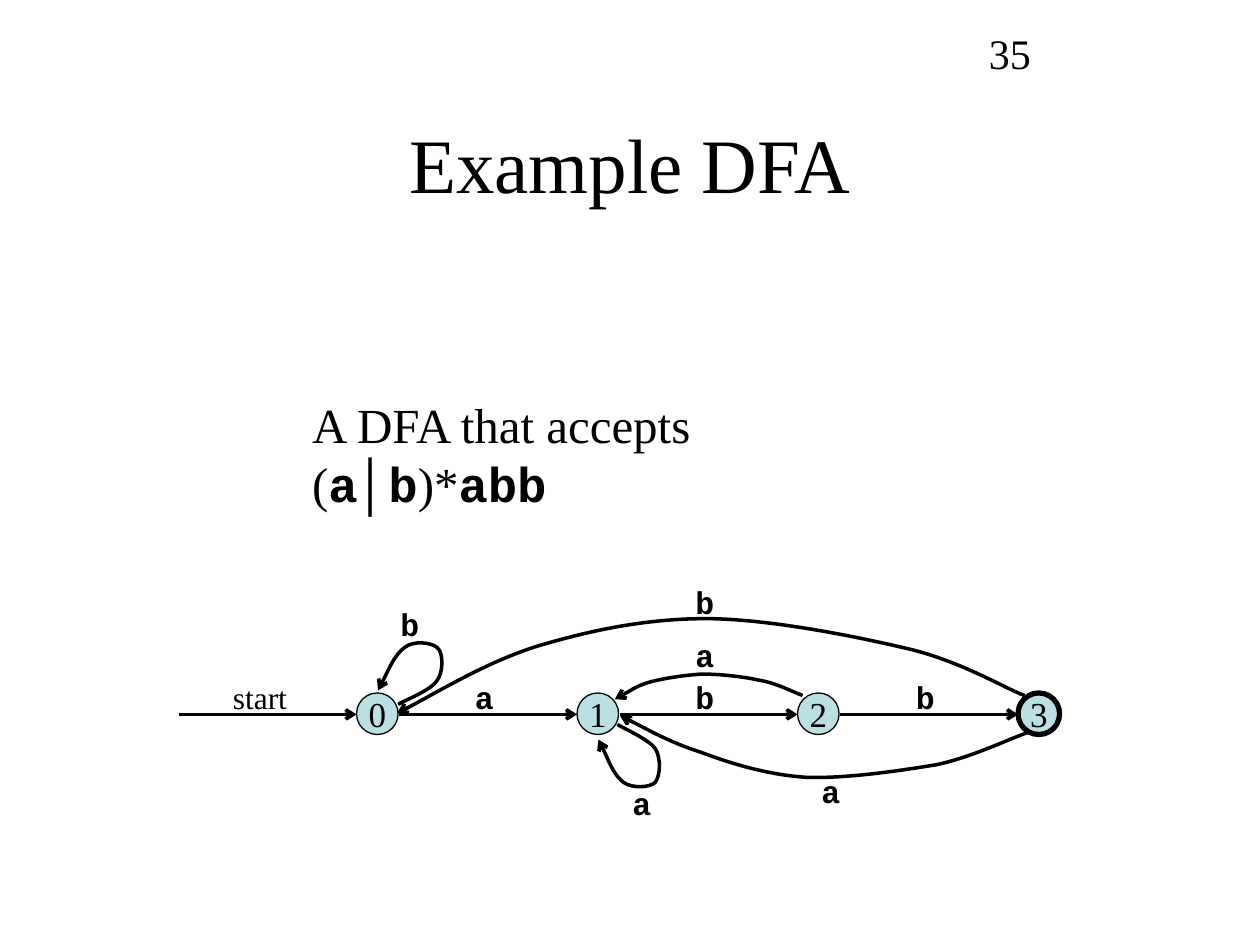
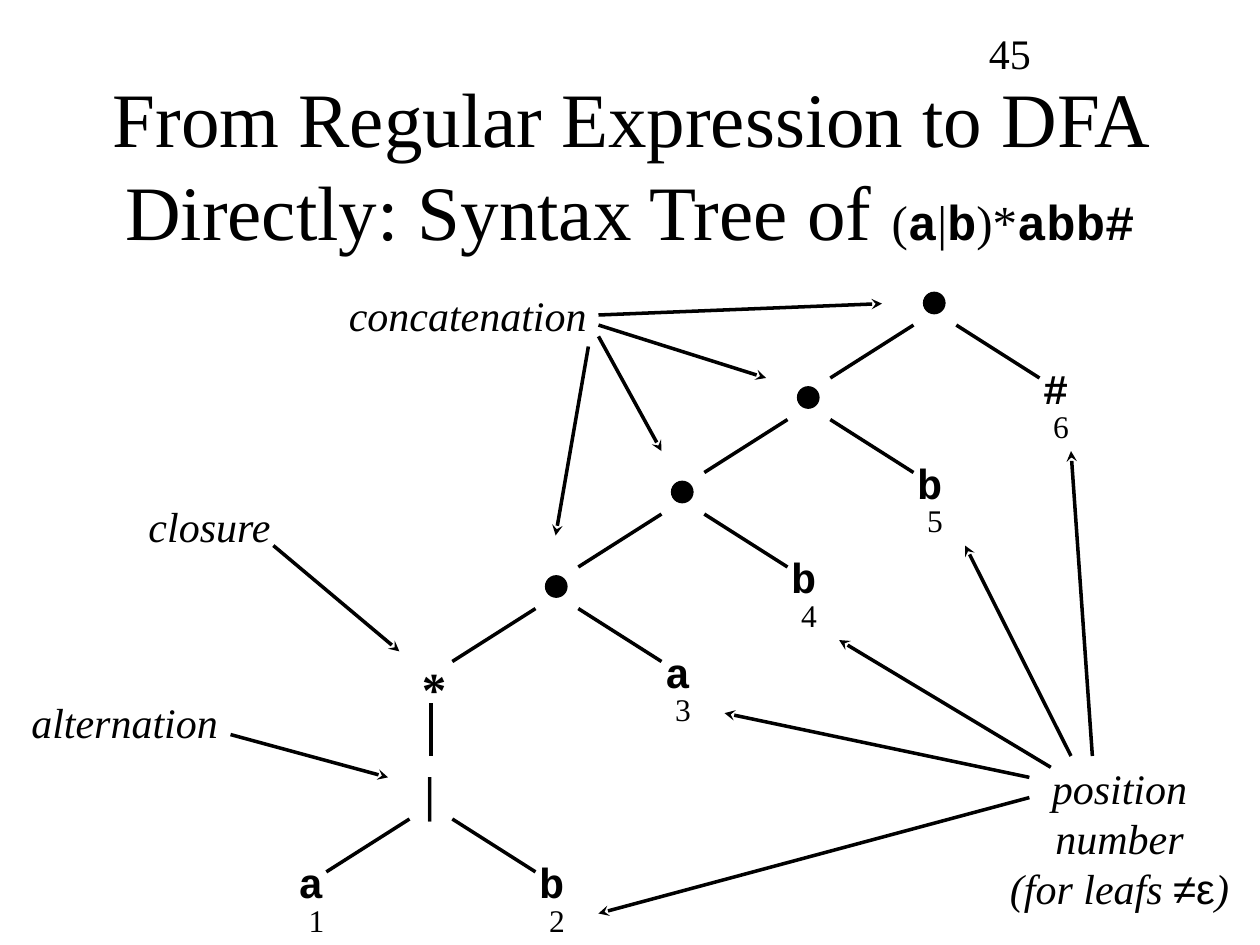
from pptx import Presentation
from pptx.dml.color import RGBColor
from pptx.enum.shapes import MSO_CONNECTOR as Conn, MSO_SHAPE as Shape
from pptx.enum.text import MSO_ANCHOR as Anchor, MSO_AUTO_SIZE as Fit, PP_ALIGN as Align
from pptx.oxml.ns import qn
from pptx.oxml.xmlchemy import OxmlElement as Elem
from pptx.util import Inches, Pt

BLACK = RGBColor(0x00, 0x00, 0x00)
AQUA = RGBColor(0xBB, 0xE0, 0xE3)

# Each text style: font, bold, italic
ROMAN = ("Times New Roman", False, False)
HEAVY = ("Times New Roman", True, False)
SLANT = ("Times New Roman", False, True)
CODE = ("Courier New", True, False)
SANS = ("Arial", False, False)

STEP = 1.75   # distance between states
DROP = 0.75   # height of one tree level

# Bent edges: a start point, then three points for each curve piece
CURVES = [
    # state 0 to itself
    [(3.16, 5.59), (3.21, 5.56), (3.42, 5.48), (3.47, 5.4),
     (3.52, 5.33), (3.52, 5.18), (3.47, 5.14),
     (3.43, 5.1), (3.28, 5.08), (3.21, 5.14),
     (3.13, 5.2), (3.04, 5.41), (3, 5.48)],
    # state 3 to 0
    [(8.13, 5.52), (7.97, 5.46), (7.63, 5.25), (7.21, 5.15),
     (6.79, 5.05), (6.09, 4.91), (5.6, 4.91),
     (5.11, 4.91), (4.66, 5.01), (4.26, 5.13),
     (3.85, 5.26), (3.38, 5.55), (3.15, 5.66)],
    # state 1 to itself
    [(4.9, 5.75), (4.95, 5.78), (5.15, 5.87), (5.2, 5.94),
     (5.25, 6.02), (5.24, 6.16), (5.2, 6.21),
     (5.16, 6.25), (5.02, 6.26), (4.95, 6.21),
     (4.87, 6.15), (4.79, 5.94), (4.75, 5.87)],
    # state 2 to 1
    [(6.37, 5.52), (6.31, 5.5), (6.16, 5.42), (6.03, 5.4),
     (5.9, 5.37), (5.71, 5.35), (5.57, 5.35),
     (5.43, 5.36), (5.29, 5.38), (5.17, 5.41),
     (5.06, 5.44), (4.94, 5.52), (4.88, 5.55)],
    # state 3 to 1
    [(8.17, 5.81), (8.04, 5.85), (7.72, 6.01), (7.43, 6.07),
     (7.13, 6.12), (6.71, 6.18), (6.4, 6.17),
     (6.09, 6.15), (5.8, 6.06), (5.56, 5.97),
     (5.31, 5.89), (5.05, 5.74), (4.92, 5.68)],
]

# Letters on the bent edges
MARKS = [("b", 3.08, 4.75), ("b", 5.42, 4.58), ("a", 4.92, 6.17),
         ("a", 5.42, 5), ("a", 6.42, 6.08)]

# Arrows from the notes to the tree
HINTS = [
    (4.75, 2.5, 7, 2.41), (4.75, 2.58, 6.08, 3),
    (4.75, 2.67, 5.25, 3.58), (4.67, 2.75, 4.41, 4.25),
    (2.17, 4.33, 3.17, 5.17), (1.83, 5.83, 3.08, 6.17),
    (8.67, 6, 8.5, 3.58), (8.5, 6, 7.66, 4.33), (8.34, 6.09, 6.66, 5.08),
    (8.17, 6.17, 5.75, 5.66), (8.17, 6.33, 4.75, 7.25),
]


def box(x, y, w, h):
    return Inches(x), Inches(y), Inches(w), Inches(h)


# Text
def write(para, runs, size, align=Align.LEFT):
    para.alignment = align
    for text, style in runs:
        if text == "\n":
            para.add_line_break()
            continue
        run = para.add_run()
        run.text = text
        font = run.font
        font.name, font.bold, font.italic = style
        font.size = Pt(size)
        font.color.rgb = BLACK


def label(slide, x, y, w, h, runs, size, wrap=False, align=Align.LEFT):
    frame = slide.shapes.add_textbox(*box(x, y, w, h)).text_frame
    frame.word_wrap = wrap
    write(frame.paragraphs[0], runs, size, align)
    return frame


def page(deck, runs, number):
    slide = deck.slides.add_slide(deck.slide_layouts[5])
    title = slide.shapes.title
    title.left, title.top, title.width, title.height = box(0.75, 0.67, 8.5, 1.25)
    frame = title.text_frame
    frame.auto_size = Fit.NONE
    frame.word_wrap = True
    frame.vertical_anchor = Anchor.MIDDLE
    for text, style, size in runs:
        write(frame.paragraphs[0], [(text, style)], size, Align.CENTER)
    label(slide, 7.75, 0.17, 2.08, 0.5, [(number, ROMAN)], 24, True)
    return slide


# Lines
def ink(shape, head=None):
    shape.line.color.rgb = BLACK
    shape.line.width = Pt(2)
    if head:
        tail = Elem("a:tailEnd")
        tail.set("type", head)
        shape.element.find(".//" + qn("a:ln")).append(tail)


def line(slide, x1, y1, x2, y2, head=None):
    link = slide.shapes.add_connector(
        Conn.STRAIGHT, Inches(x1), Inches(y1), Inches(x2), Inches(y2))
    ink(link, head)
    link.element.spPr.append(Elem("a:effectLst"))


def curve(slide, points):
    spots = [(Inches(x), Inches(y)) for x, y in points]
    pen = slide.shapes.build_freeform(*spots[0])
    pen.add_line_segments(spots[1:], close=False)
    shape = pen.convert_to_shape()
    shape.shadow.inherit = False
    shape.fill.background()
    ink(shape, "arrow")
    # Every three straight segments become one Bezier piece
    track = shape.element.find(".//" + qn("a:path"))
    parts = track.findall(qn("a:lnTo"))
    for i in range(0, len(parts), 3):
        bend = Elem("a:cubicBezTo")
        for part in parts[i:i + 3]:
            bend.append(part[0])
            track.remove(part)
        track.append(bend)


# Nodes
def disc(slide, x, y, size, fill, width=0.75):
    dot = slide.shapes.add_shape(Shape.OVAL, *box(x, y, size, size))
    dot.shadow.inherit = False
    dot.fill.solid()
    dot.fill.fore_color.rgb = fill
    dot.line.color.rgb = BLACK
    dot.line.width = Pt(width)
    return dot


def state(slide, i, last):
    dot = disc(slide, 2.83 + STEP * i, 5.5, 0.33, AQUA, 3 if last else 0.75)
    frame = dot.text_frame
    frame.word_wrap = False
    frame.vertical_anchor = Anchor.MIDDLE
    write(frame.paragraphs[0], [(str(i), ROMAN)], 20, Align.CENTER)


def mark(slide, text, x, y):
    label(slide, x, y, 0.35, 0.4, [(text, CODE)], 18)


def leaf(slide, text, number, x, y):
    label(slide, x, y, 0.33, 0.5, [(text, CODE)], 24, True)
    label(slide, x + 0.08, y + 0.35, 0.32, 0.4, [(number, ROMAN)], 18)


def fork(slide, x, y):
    for side in (-1, 1):
        line(slide, x + 0.17 * side, y, x + 0.83 * side, y + 0.42)


# Slides
def graph(deck):
    slide = page(deck, [("Example DFA", ROMAN, 44)], "35")
    note = [("A DFA that accepts (", ROMAN), ("a", CODE), ("│", SANS),
            ("b", CODE), (")*", ROMAN), ("abb", CODE)]
    frame = label(slide, 2.38, 3.08, 5.13, 0.57, note, 28, True)
    frame.margin_right = Inches(0.6)

    for i in range(4):
        state(slide, i, i == 3)
        x = 1.42 + STEP * i
        line(slide, x, 5.67, x + 1.41, 5.67, "arrow")
    label(slide, 1.75, 5.33, 0.63, 0.4, [("start", ROMAN)], 18)
    for i, text in enumerate("abb"):
        mark(slide, text, 3.67 + STEP * i, 5.33)

    for points in CURVES:
        curve(slide, points)
    for text, x, y in MARKS:
        mark(slide, text, x, y)


def tree(deck):
    slide = page(deck, [
        ("From Regular Expression to DFA Directly: Syntax Tree of ", ROMAN, 44),
        ("(", ROMAN, 28), ("a", CODE, 28), ("|", ROMAN, 28), ("b", CODE, 28),
        (")*", ROMAN, 28), ("abb#", CODE, 28)], "45")

    # Concatenation levels, from the root down
    for k, text in enumerate("#bba"):
        down = DROP * k
        disc(slide, 7.33 - k, 2.32 + down, 0.17, BLACK)
        fork(slide, 7.42 - k, 2.58 + down)
        leaf(slide, text, str(6 - k), 8.18 - k, 2.83 + down)

    # Closure and alternation
    label(slide, 3.25, 5.18, 0.2, 0.57, [("*", HEAVY)], 28, True)
    line(slide, 3.42, 5.58, 3.42, 6)
    label(slide, 3.27, 6, 0.2, 0.57, [("|", HEAVY)], 28, True)
    fork(slide, 3.42, 6.5)
    leaf(slide, "a", "1", 2.27, 6.75)
    leaf(slide, "b", "2", 4.18, 6.75)

    # Notes and their arrows
    for text, x, y, w in [("concatenation", 2.67, 2.25, 2.09),
                          ("closure", 1.08, 3.92, 1.18),
                          ("alternation", 0.15, 5.48, 1.68)]:
        label(slide, x, y, w, 0.5, [(text, SLANT)], 24)
    words = [("position", SLANT), ("\n", SLANT), ("number", SLANT)]
    frame = label(slide, 7.88, 6, 2.01, 1.3, words, 24, align=Align.CENTER)
    write(frame.add_paragraph(),
          [("(for leafs ", SLANT), ("≠ε", SANS), (")", SLANT)], 24, Align.CENTER)
    for ends in HINTS:
        line(slide, *ends, "stealth")


def main():
    deck = Presentation()
    deck.slide_width, deck.slide_height = Inches(10), Inches(7.5)
    graph(deck)
    tree(deck)
    deck.save("out.pptx")


if __name__ == "__main__":
    main()
